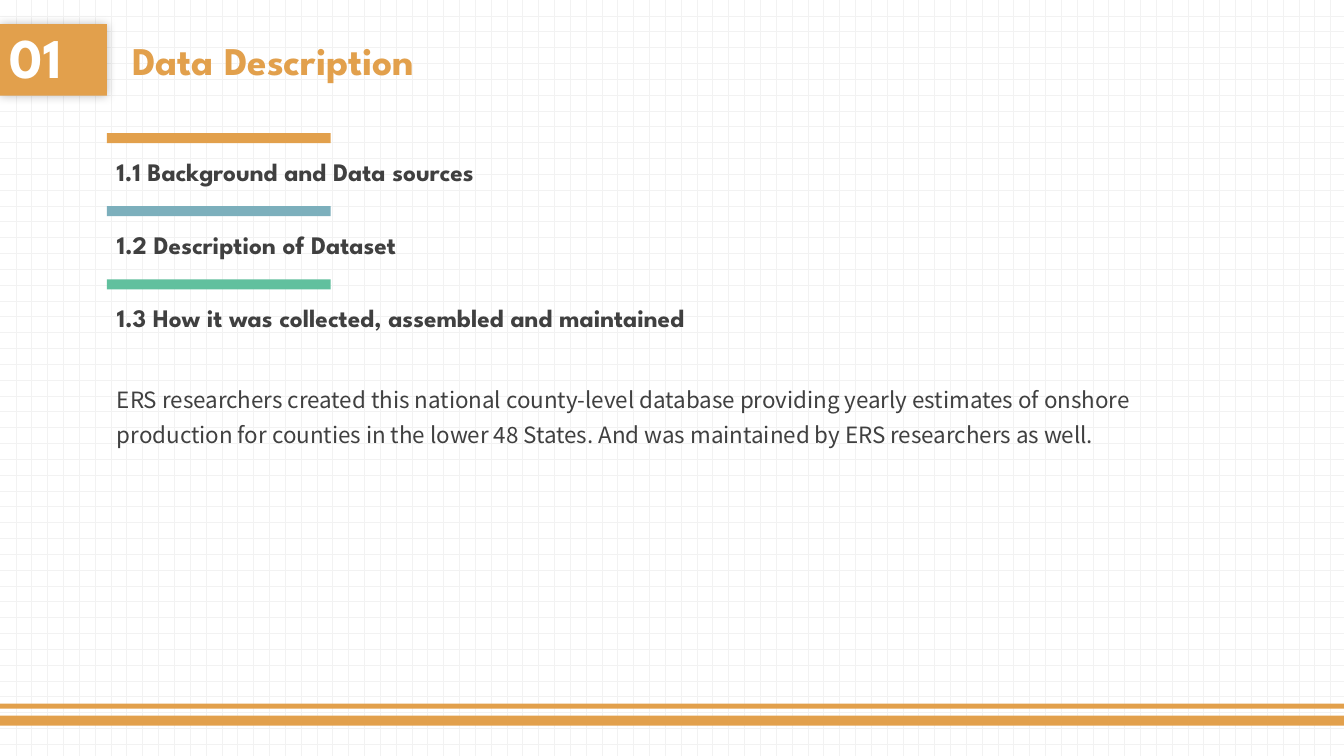
from lxml import etree
from pptx import Presentation
from pptx.dml.color import RGBColor
from pptx.enum.dml import MSO_PATTERN
from pptx.enum.shapes import MSO_SHAPE
from pptx.enum.text import MSO_ANCHOR, MSO_AUTO_SIZE, PP_ALIGN
from pptx.oxml.ns import qn
from pptx.util import Inches, Pt

RECTANGLE = MSO_SHAPE.RECTANGLE
DOT_GRID = MSO_PATTERN.DOTTED_GRID
TOP, MIDDLE = MSO_ANCHOR.TOP, MSO_ANCHOR.MIDDLE
NO_FIT, GROW = MSO_AUTO_SIZE.NONE, MSO_AUTO_SIZE.SHAPE_TO_FIT_TEXT
LEFT = PP_ALIGN.LEFT

COLOURS = {
    "orange": "E2A04C",
    "blue": "7CAFBC",
    "green": "61C09E",
    "text": "404040",
    "white": "FFFFFF",
    "grid": "F2F2F2",
    "shadow": "000000",
}
HEADING_FONT = "League Spartan"
BODY_FONT = "Noto Sans CJK SC"

SLIDE_W, SLIDE_H = Inches(13.33), Inches(7.5)

# Percent of the slide's width or height
MARGIN = 7.95
HEADER_TOP, HEADER_H = 3.2, 9.47
BAR_W, BAR_H = 16.65, 1.33
SECTION_TOP, SECTION_STEP = 17.6, 9.67
LABEL_DROP, LABEL_H = 1.2, 6.4

# Heading, bar colour, heading width
SECTIONS = [
    ("1.1 Background and Data sources", "orange", 32.63),
    ("1.2 Description of Dataset", "blue", 24.76),
    ("1.3 How it was collected, assembled and maintained", "green", 50.04),
]
COLLECTION = (
    "ERS researchers created this national county-level database providing "
    "yearly estimates of onshore production for counties in the lower 48 "
    "States. And was maintained by ERS researchers as well."
)


def colour(name):
    return RGBColor.from_string(COLOURS[name])


def box(left, top, width, height):
    """Turn percentages of the slide into lengths."""
    return (int(SLIDE_W * left / 100), int(SLIDE_H * top / 100),
            int(SLIDE_W * width / 100), int(SLIDE_H * height / 100))


def place(placeholder, area):
    (placeholder.left, placeholder.top,
     placeholder.width, placeholder.height) = area


def write(shape, text, size, ink="text", font=HEADING_FONT, bold=True,
          anchor=TOP, spacing=1.3, before=0, wrap=True, fit=NO_FIT):
    frame = shape.text_frame
    frame.word_wrap = wrap
    frame.auto_size = fit
    frame.vertical_anchor = anchor
    paragraph = frame.paragraphs[0]
    paragraph.alignment = LEFT
    paragraph.line_spacing = spacing
    paragraph.space_before = Pt(before)
    run = paragraph.add_run()
    run.text = text
    run.font.size = Pt(size)
    run.font.name = font
    run.font.bold = bold
    run.font.color.rgb = colour(ink)
    # East Asian face follows the Latin one
    etree.SubElement(run.font._element, qn("a:ea"), typeface=font)
    return paragraph


def add_bar(slide, area, fill):
    bar = slide.shapes.add_shape(RECTANGLE, *area)
    bar.shadow.inherit = False
    bar.fill.solid()
    bar.fill.fore_color.rgb = colour(fill)
    bar.line.fill.background()
    return bar


def add_glow_shadow(shape, blur, opacity):
    effects = shape._element.spPr.find(qn("a:effectLst"))
    shadow = etree.SubElement(effects, qn("a:outerShdw"),
                              blurRad=str(Pt(blur)), dist="0", dir="0",
                              algn="ctr", rotWithShape="0")
    tint = etree.SubElement(shadow, qn("a:srgbClr"), val=COLOURS["shadow"])
    etree.SubElement(tint, qn("a:alpha"), val=str(opacity * 1000))


def remove_bullet(paragraph):
    properties = paragraph._p.get_or_add_pPr()
    properties.set("marL", "0")
    properties.set("indent", "0")
    etree.SubElement(properties, qn("a:buNone"))


def add_section(slide, row, heading, fill, width):
    top = SECTION_TOP + row * SECTION_STEP
    add_bar(slide, box(MARGIN, top, BAR_W, BAR_H), fill)
    label = slide.shapes.add_textbox(
        *box(MARGIN, top + LABEL_DROP, width, LABEL_H))
    write(label, heading, 18, wrap=False, fit=GROW)


def main():
    deck = Presentation()
    deck.slide_width, deck.slide_height = SLIDE_W, SLIDE_H
    slide = deck.slides.add_slide(deck.slide_layouts[1])
    title, body = slide.placeholders

    # Dotted backdrop
    backdrop = slide.background.fill
    backdrop.patterned()
    backdrop.pattern = DOT_GRID
    backdrop.fore_color.rgb = colour("grid")
    backdrop.back_color.rgb = colour("white")

    # Footer stripes
    for top, height in ((94.67, BAR_H), (93.07, BAR_H / 2)):
        add_bar(slide, box(0, top, 100, height), "orange")

    # Chapter number and title
    chapter = add_bar(slide, box(0, HEADER_TOP, MARGIN, HEADER_H), "orange")
    add_glow_shadow(chapter, blur=7, opacity=25)
    write(chapter, "01", 40, ink="white", anchor=MIDDLE, spacing=0.9, before=10)
    place(title, box(9.08, HEADER_TOP, 52.81, HEADER_H))
    write(title, "Data Description", 28, ink="orange", anchor=MIDDLE,
          spacing=1.0, before=10)

    # Section headings with their bars
    for row, section in enumerate(SECTIONS):
        add_section(slide, row, *section)

    # Paragraph on collection
    place(body, box(MARGIN, 49.33, 78.77, 19.87))
    remove_bullet(write(body, COLLECTION, 16, font=BODY_FONT, bold=False))

    deck.save("out.pptx")


if __name__ == "__main__":
    main()
